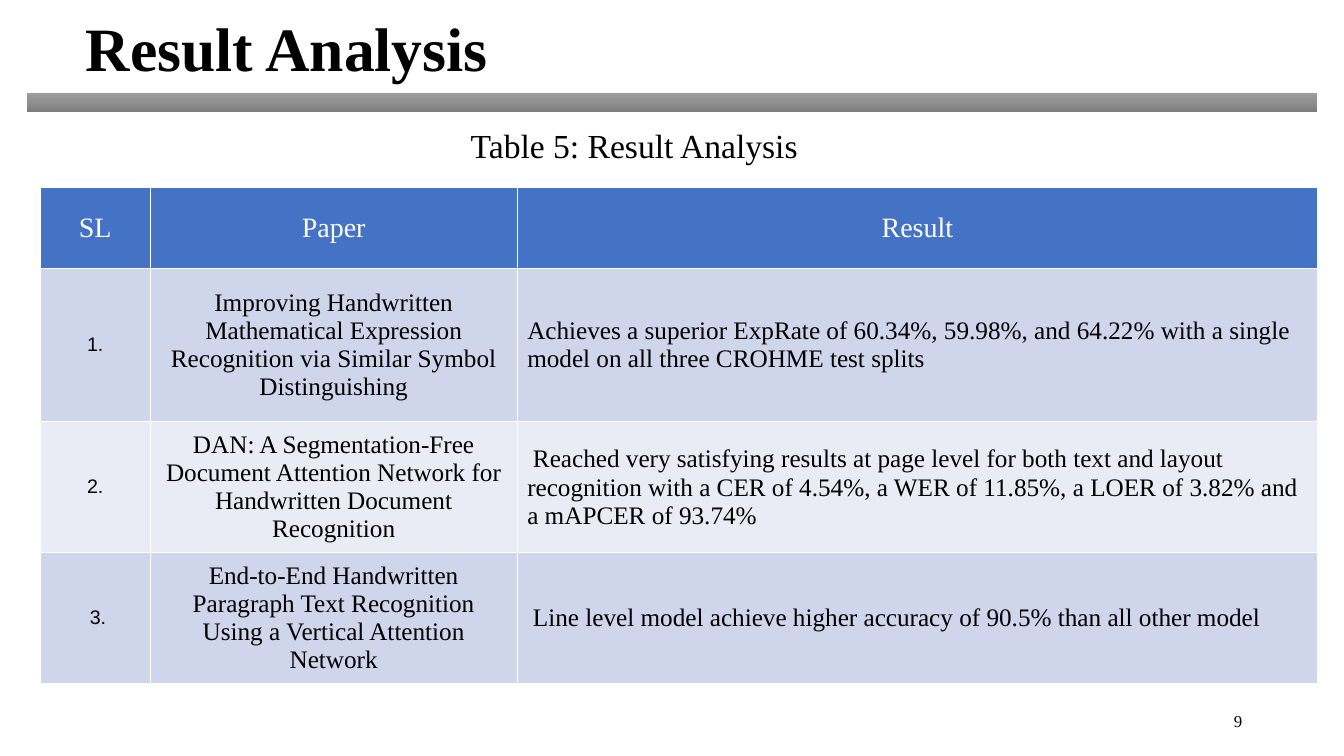
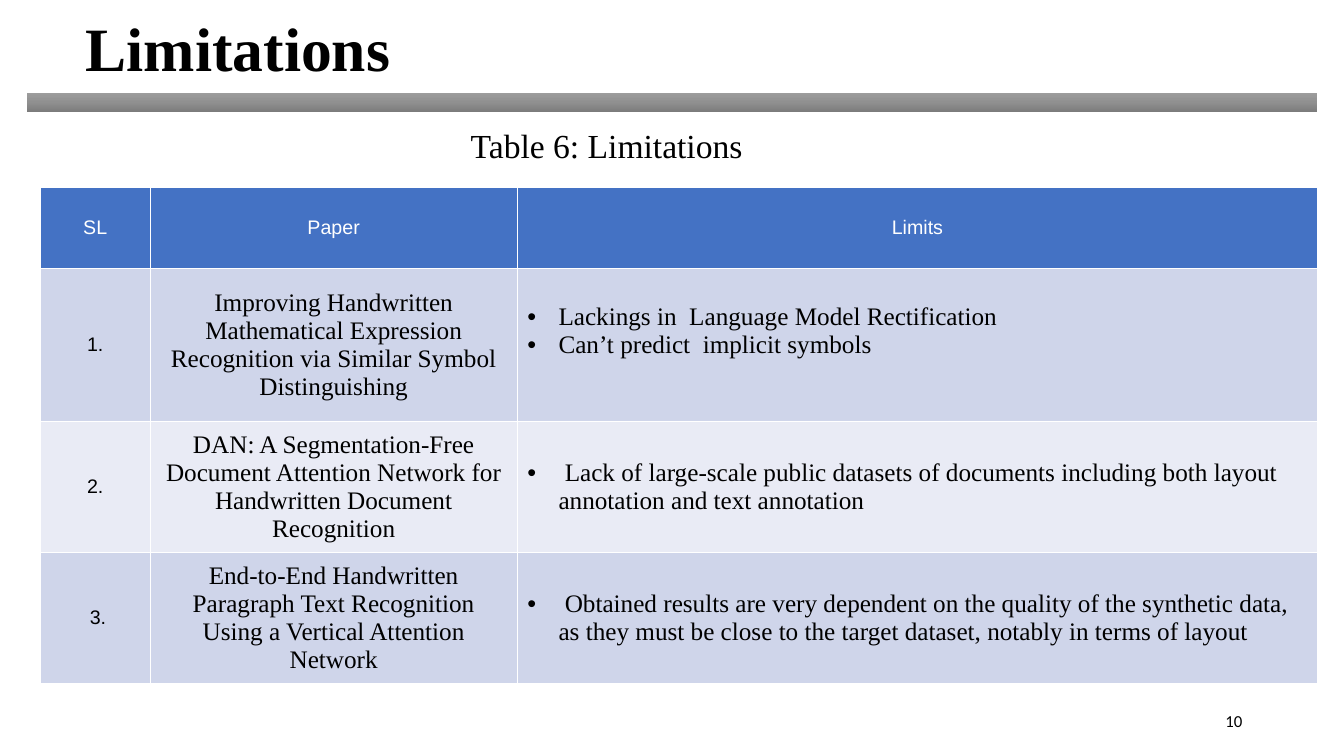
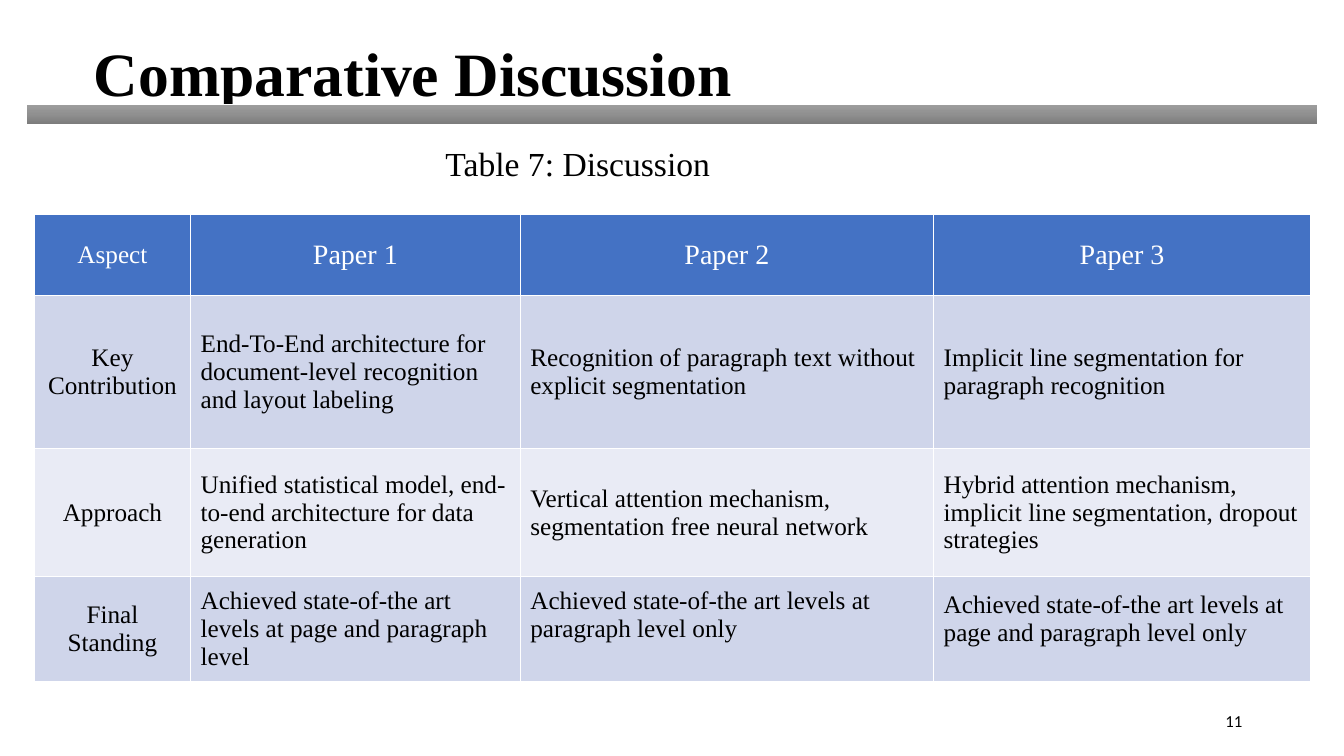
from copy import deepcopy

from lxml import etree
from pptx import Presentation
from pptx.dml.color import RGBColor
from pptx.enum.shapes import MSO_SHAPE
from pptx.enum.text import MSO_ANCHOR, MSO_AUTO_SIZE, PP_ALIGN
from pptx.oxml.ns import qn
from pptx.util import Inches, Pt

LEFT, MID, RIGHT = PP_ALIGN.LEFT, PP_ALIGN.CENTER, PP_ALIGN.RIGHT
TOP, CENTER = MSO_ANCHOR.TOP, MSO_ANCHOR.MIDDLE
FIT_OFF = MSO_AUTO_SIZE.NONE
RECT = MSO_SHAPE.RECTANGLE

SERIF, SANS, PLAIN = "Times New Roman", "Arial", "Calibri"
BLACK, WHITE, BLUE = "000000", "FFFFFF", "4472C4"
STRIPES = ("CFD5EA", "E9EBF5")
GRAY = ((0, "9D9D9D"), (0.5, "909090"), (1, "7C7C7C"))
FIRST = 9
INDENT = 0.31
PAD = 0.05
TITLE_ONLY = 5

PAPERS = (
    "Improving Handwritten Mathematical Expression Recognition via Similar Symbol Distinguishing",
    "DAN: A Segmentation-Free Document Attention Network for Handwritten Document Recognition",
    "End-to-End Handwritten Paragraph Text Recognition Using a Vertical Attention Network",
)
MARKS = ("1.", "2.", " 3.")
RESULTS = (
    "Achieves a superior ExpRate of 60.34%, 59.98%, and 64.22% with a single model on all three CROHME test splits",
    ((" ", PLAIN), ("Reached very satisfying results at page level for both text and layout recognition with a CER of 4.54%, a WER of 11.85%, a LOER of 3.82% and a mAPCER of 93.74%", SERIF)),
    ((" ", PLAIN), ("Line level model achieve higher accuracy of 90.5% than all other model", SERIF)),
)
LIMITS = (
    ["Lackings in  Language Model Rectification", "Can’t predict  implicit symbols"],
    [" Lack of large-scale public datasets of documents including both layout annotation and text annotation"],
    [" Obtained results are very dependent on the quality of the synthetic data, as they must be close to the target dataset, notably in terms of layout"],
)
ASPECTS = (
    ("Key Contribution",
     "End-To-End architecture for document-level recognition and layout labeling",
     "Recognition of paragraph text without explicit segmentation",
     "Implicit line segmentation for paragraph recognition"),
    ("Approach",
     "Unified statistical model, end-to-end architecture for data generation",
     "Vertical attention mechanism, segmentation free neural network",
     "Hybrid attention mechanism, implicit line segmentation, dropout strategies"),
    ("Final Standing",
     "Achieved state-of-the art levels at page and paragraph level",
     "Achieved state-of-the art levels at paragraph level only",
     "Achieved state-of-the art levels at page and paragraph level only"),
)

# Shared by the two slides that list the papers one by one
LIST = dict(title_at=(0.75, 0.13), band=0.92, cap_at=(4.57, 1.19),
            at=(0.4, 1.86), cols=(1.09, 3.64, 7.94), rows=(0.8, 1.52, 1.3, 1.3),
            key=dict(font=SANS, size=14), centered=2)

# "lift" is extra bottom padding by (row, column)
SLIDES = [
    dict(LIST, title="Result Analysis", caption="Table 5: Result Analysis",
         number=SERIF, head=("SL", "Paper", "Result"),
         head_font=SERIF, head_sizes=(20, 20, 20),
         body=list(zip(MARKS, PAPERS, RESULTS)), lift={}),
    dict(LIST, title="Limitations", caption="Table 6: Limitations",
         number=PLAIN, head=("SL", "Paper", "Limits"),
         head_font=SANS, head_sizes=(14, 14, 14),
         body=list(zip(MARKS, PAPERS, LIMITS)), lift={(1, 2): 0.28}),
    dict(title="Comparative Discussion", caption="Table 7: Discussion",
         number=PLAIN, title_at=(0.83, 0.38), band=1.04, cap_at=(4.32, 1.37),
         at=(0.34, 2.13), cols=(1.55, 3.27, 4.1, 3.74), rows=(0.8, 1.52, 1.27, 1.04),
         head=("Aspect", "Paper 1", "Paper 2", "Paper 3"),
         head_font=SERIF, head_sizes=(18, 20, 20, 20),
         key=dict(font=SERIF, size=18), centered=1,
         body=ASPECTS, lift={(3, 2): 0.28, (3, 3): 0.2}),
]


def rgb(code):
    return RGBColor.from_string(code)


def box(*sizes):
    return [Inches(size) for size in sizes]


def write(frame, text, font=SERIF, size=18, color=BLACK, bold=False,
          align=LEFT, spacing=None):
    """Fill a frame: a list gives bullets, a tuple gives (text, font) runs."""
    bullets = isinstance(text, list)
    for i, part in enumerate(text if bullets else [text]):
        para = frame.add_paragraph() if i else frame.paragraphs[0]
        para.alignment = align
        if spacing:
            para.line_spacing = spacing
        if bullets:
            props = para._p.get_or_add_pPr()
            props.set("marL", str(Inches(INDENT)))
            props.set("indent", str(-Inches(INDENT)))
            etree.SubElement(props, qn("a:buFont"), typeface=SANS)
            etree.SubElement(props, qn("a:buChar"), char="•")
        for words, face in ([(part, font)] if isinstance(part, str) else part):
            run = para.add_run()
            run.text = words
            run.font.name = face
            run.font.size = Pt(size)
            run.font.bold = bold
            run.font.color.rgb = rgb(color)


def add_text(slide, at, text, anchor=TOP, **style):
    frame = slide.shapes.add_textbox(*box(*at)).text_frame
    frame.word_wrap = True
    frame.vertical_anchor = anchor
    write(frame, text, **style)
    return frame


def add_title(slide, at, text):
    title = slide.shapes.title
    title.left, title.top, title.width, title.height = box(*at, 6.99, 0.84)
    frame = title.text_frame
    frame.auto_size = FIT_OFF
    frame.word_wrap = True
    frame.vertical_anchor = TOP
    write(frame, text, size=44, bold=True, spacing=0.9)


def add_band(slide, top):
    band = slide.shapes.add_shape(RECT, *box(0.26, top, 12.81, 0.19))
    band.shadow.inherit = False
    band.line.color.rgb = rgb(WHITE)
    band.line.width = Pt(0.5)
    band.fill.gradient()
    band.fill.gradient_angle = 270
    stops = next(band.element.iter(qn("a:gsLst")))
    stops.append(deepcopy(stops[0]))
    for stop, (place, color) in zip(band.fill.gradient_stops, GRAY):
        stop.position = place
        stop.color.rgb = rgb(color)


def add_number(slide, number, font):
    """Add the page number as a live field."""
    frame = add_text(slide, (9.42, 6.95, 3, 0.4), str(number), anchor=CENTER,
                     font=font, size=12, align=RIGHT)
    para = frame.paragraphs[0]
    run = para.runs[0]._r
    field = etree.SubElement(para._p, qn("a:fld"), type="slidenum",
                             id="{B6F15528-21DE-4FAA-801E-634DDDAF4B2B}")
    field.extend(list(run))
    para._p.remove(run)


def add_grid(slide, data):
    cols, rows = data["cols"], data["rows"]
    size = (sum(cols), sum(rows))
    table = slide.shapes.add_table(len(rows), len(cols), *box(*data["at"], *size)).table
    for col, width in zip(table.columns, cols):
        col.width = Inches(width)
    for row, height in zip(table.rows, rows):
        row.height = Inches(height)
    for r, line in enumerate([data["head"], *data["body"]]):
        for c, text in enumerate(line):
            cell = table.cell(r, c)
            cell.vertical_anchor = CENTER
            cell.margin_bottom = Inches(PAD + data["lift"].get((r, c), 0))
            cell.fill.solid()
            cell.fill.fore_color.rgb = rgb(STRIPES[(r - 1) % 2] if r else BLUE)
            style = dict(data["key"]) if c == 0 else {}
            if r == 0:
                style = dict(font=data["head_font"], size=data["head_sizes"][c], color=WHITE)
            middle = r == 0 or c < data["centered"]
            write(cell.text_frame, text, align=MID if middle else LEFT, **style)


def main():
    deck = Presentation()
    deck.slide_width, deck.slide_height = box(13.33, 7.5)
    deck.element.set("firstSlideNum", str(FIRST))
    for number, data in enumerate(SLIDES, FIRST):
        slide = deck.slides.add_slide(deck.slide_layouts[TITLE_ONLY])
        add_number(slide, number, data["number"])
        add_title(slide, data["title_at"], data["title"])
        add_band(slide, data["band"])
        add_text(slide, (*data["cap_at"], 4.85, 0.5), data["caption"], size=24)
        add_grid(slide, data)
    deck.save("out.pptx")


if __name__ == "__main__":
    main()
